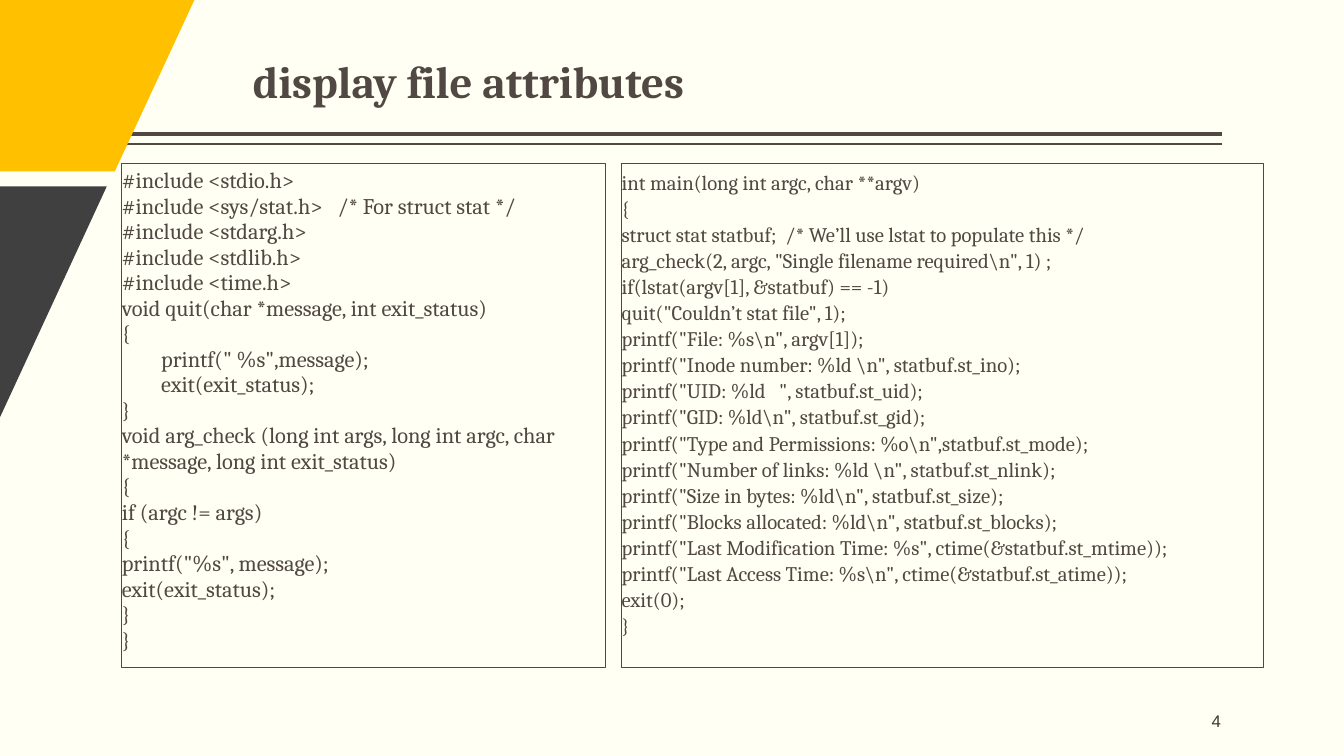
from lxml import etree
from pptx import Presentation
from pptx.dml.color import RGBColor
from pptx.enum import text as t
from pptx.oxml.ns import qn
from pptx.util import Inches, Pt

INK = "514843"

HELPERS_CODE = r'''#include <stdio.h>
#include <sys/stat.h>   /* For struct stat */
#include <stdarg.h>
#include <stdlib.h>
#include <time.h>
void quit(char *message, int exit_status)
{
        printf(" %s",message);
        exit(exit_status);
}
void arg_check (long int args, long int argc, char *message, long int exit_status)
{
if (argc != args)
{
printf("%s", message);
exit(exit_status);
}
}'''

MAIN_CODE = r'''int main(long int argc, char **argv)
{
struct stat statbuf;  /* We’ll use lstat to populate this */
arg_check(2, argc, "Single filename required\n", 1) ;
if(lstat(argv[1], &statbuf) == -1)
quit("Couldn’t stat file", 1);
printf("File: %s\n", argv[1]);
printf("Inode number: %ld \n", statbuf.st_ino);
printf("UID: %ld   ", statbuf.st_uid);
printf("GID: %ld\n", statbuf.st_gid);
printf("Type and Permissions: %o\n",statbuf.st_mode);
printf("Number of links: %ld \n", statbuf.st_nlink);
printf("Size in bytes: %ld\n", statbuf.st_size);
printf("Blocks allocated: %ld\n", statbuf.st_blocks);
printf("Last Modification Time: %s", ctime(&statbuf.st_mtime));
printf("Last Access Time: %s\n", ctime(&statbuf.st_atime));
exit(0);
}'''


def paint(color_format, hex_color):
    color_format.rgb = RGBColor.from_string(hex_color)


def write(shape, box, content, margin, anchor, paragraph_format, size, font, color, bold=False):
    """Place a text shape and fill it with one paragraph per line of content."""
    shape.left, shape.top, shape.width, shape.height = map(Inches, box)
    frame = shape.text_frame
    frame.text = content
    frame_format = {"word_wrap": True, "auto_size": t.MSO_AUTO_SIZE.NONE,
                    "vertical_anchor": anchor,
                    "margin_left": Inches(margin), "margin_right": Inches(margin),
                    "margin_top": Inches(0.05), "margin_bottom": Inches(0.05)}
    for key, value in frame_format.items():
        setattr(frame, key, value)
    for paragraph in frame.paragraphs:
        properties = paragraph._p.get_or_add_pPr()
        properties.set("marL", "0")
        properties.set("indent", "0")
        etree.SubElement(properties, qn("a:buNone"))
        for key, value in paragraph_format.items():
            setattr(paragraph, key, value)
        for run in paragraph.runs:
            for key, value in {"size": Pt(size), "name": font, "bold": bold}.items():
                setattr(run.font, key, value)
            paint(run.font.color, color)


deck = Presentation()
deck.slide_width, deck.slide_height = Inches(13.34), Inches(7.5)
slide = deck.slides.add_slide(deck.slide_layouts[3])
slide.background.fill.solid()
paint(slide.background.fill.fore_color, "FFFFF3")
title, helpers, main_program = slide.placeholders

# Double rule under the title
for y, weight in ((1.33, 3), (1.43, 1)):
    rule = slide.shapes.add_connector(1, Inches(12.13), Inches(y), Inches(1.21), Inches(y))
    paint(rule.line.color, INK)
    rule.line.width = Pt(weight)
    etree.SubElement(rule._element.spPr, qn("a:effectLst"))

# Slanted corner blocks
for corners, color in (
    ([(0, 0), (1.93, 0), (1.14, 1.7), (0, 1.7)], "FFC000"),
    ([(0, 1.85), (1.06, 1.85), (0, 4.14)], "404040"),
):
    points = [(Inches(x), Inches(y)) for x, y in corners]
    builder = slide.shapes.build_freeform(*points[0])
    builder.add_line_segments(points[1:])
    block = builder.convert_to_shape()
    block.shadow.inherit = False
    block.fill.solid()
    paint(block.fill.fore_color, color)
    block.line.fill.background()

# Title, code panels and page number
top, middle = t.MSO_ANCHOR.TOP, t.MSO_ANCHOR.MIDDLE
write(title, (2.41, 0.48, 7.18, 0.64), "display file attributes", 0.1, top,
      {"alignment": t.PP_ALIGN.LEFT}, 32, "Cambria", INK, bold=True)

for panel, left, width, code, size, spacing in (
    (helpers, 1.21, 4.8, HELPERS_CODE, 16, 0.95),
    (main_program, 6.17, 6.37, MAIN_CODE, 14.8, 1.05),
):
    write(panel, (left, 1.62, width, 5), code, 0, top,
          {"line_spacing": spacing, "space_before": Pt(0)}, size, "Cambria", INK)
    paint(panel.line.color, INK)
    panel.line.width = Pt(0.75)

page_number = slide.shapes.add_textbox(0, 0, 0, 0)
write(page_number, (10.12, 6.95, 2, 0.4), "4", 0, middle,
      {"alignment": t.PP_ALIGN.RIGHT}, 12, "Arial", "3D3632")

deck.save("out.pptx")
